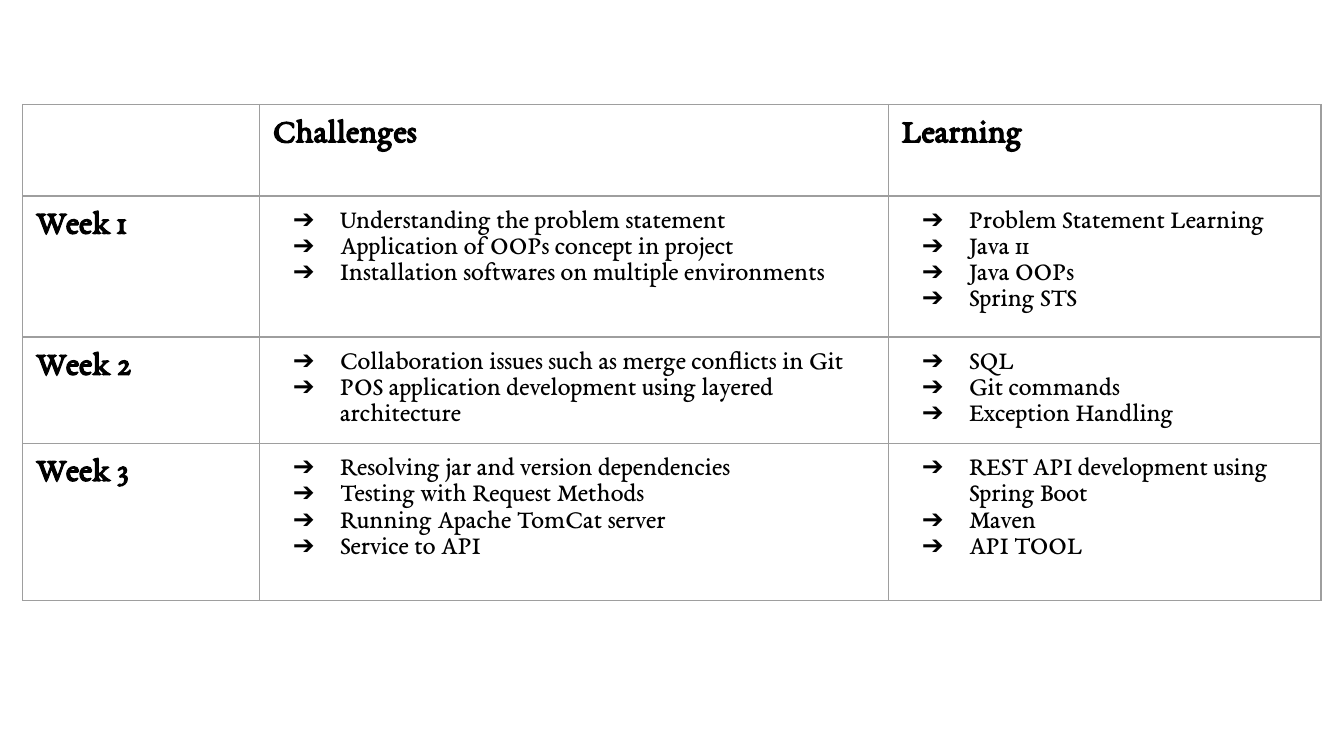
from lxml import etree
from pptx import Presentation
from pptx import util as u
from pptx.dml.color import RGBColor
from pptx.oxml import ns

COLOURS = {"text": "000000", "border": "9E9E9E", "page": "FFFFFF"}
FONT = "EB Garamond"
PAGE_WIDTH = u.Inches(10)
PAGE_HEIGHT = PAGE_WIDTH * 9 // 16
COLUMNS = [1.76, 4.68, 3.22]
ROWS = [0.68, 1.05, 0.79, 1.17]
HEADINGS = ["Challenges", "Learning"]
WEEKS = [
    ("Week 1",
     ["Understanding the problem statement",
      "Application of OOPs concept in project",
      "Installation softwares on multiple environments"],
     ["Problem Statement Learning", "Java 11", "Java OOPs", "Spring STS"]),
    ("Week 2",
     ["Collaboration issues such as merge conflicts in Git",
      "POS application development using layered architecture"],
     ["SQL", "Git commands", "Exception Handling"]),
    ("Week 3",
     ["Resolving jar and version dependencies",
      "Testing with Request Methods",
      "Running Apache TomCat server",
      "Service to API"],
     ["REST API development using Spring Boot", "Maven", "API TOOL"]),
]


def add_child(parent, tag, **attributes):
    return etree.SubElement(parent, ns.qn(tag), attributes)


def add_span(para, words, size, bold):
    span = para.add_run()
    span.text = words
    span.font.name = FONT
    span.font.size = u.Pt(size)
    span.font.bold = bold
    span.font.color.rgb = RGBColor.from_string(COLOURS["text"])


def add_arrow_bullet(para):
    properties = para._p.get_or_add_pPr()
    properties.set("marL", str(u.Inches(0.5)))
    properties.set("indent", str(u.Inches(-0.35)))
    colour = add_child(properties, "a:buClr")
    add_child(colour, "a:srgbClr", val=COLOURS["text"])
    add_child(properties, "a:buFont", typeface=FONT)
    add_child(properties, "a:buChar", char="➔")


def format_cell(cell):
    cell.margin_left = cell.margin_right = u.Inches(0.1)
    cell.margin_top = cell.margin_bottom = u.Inches(0.1)
    properties = cell._tc.get_or_add_tcPr()
    for side in ("a:lnL", "a:lnR", "a:lnT", "a:lnB"):
        line = add_child(properties, side, w=str(u.Pt(0.75)))
        fill = add_child(line, "a:solidFill")
        add_child(fill, "a:srgbClr", val=COLOURS["border"])
    cell.fill.background()


def fill_heading(cell, words):
    add_span(cell.text_frame.paragraphs[0], words, 18, True)


def fill_list(cell, items):
    frame = cell.text_frame
    for index, item in enumerate(items):
        para = frame.add_paragraph() if index else frame.paragraphs[0]
        add_arrow_bullet(para)
        add_span(para, item, 14, False)


def add_week_table(page, left, top, width, height):
    table = page.shapes.add_table(
        len(ROWS), len(COLUMNS), left, top, width, height).table
    table.first_row = table.horz_banding = False
    for column, share in zip(table.columns, COLUMNS):
        column.width = int(width * share / sum(COLUMNS))
    for row, share in zip(table.rows, ROWS):
        row.height = int(height * share / sum(ROWS))
    for cell in table.iter_cells():
        format_cell(cell)
    for index, heading in enumerate(HEADINGS, 1):
        fill_heading(table.cell(0, index), heading)
    for index, (week, challenges, learning) in enumerate(WEEKS, 1):
        fill_heading(table.cell(index, 0), week)
        fill_list(table.cell(index, 1), challenges)
        fill_list(table.cell(index, 2), learning)


def main():
    deck = Presentation()
    deck.slide_width, deck.slide_height = PAGE_WIDTH, PAGE_HEIGHT
    page = deck.slides.add_slide(deck.slide_layouts[6])
    page.background.fill.solid()
    page.background.fill.fore_color.rgb = RGBColor.from_string(COLOURS["page"])
    left = u.Inches(0.17)
    top = u.Pt(56)
    add_week_table(page, left, top, PAGE_WIDTH - 2 * left, u.Inches(sum(ROWS)))
    deck.save("out.pptx")


if __name__ == "__main__":
    main()
